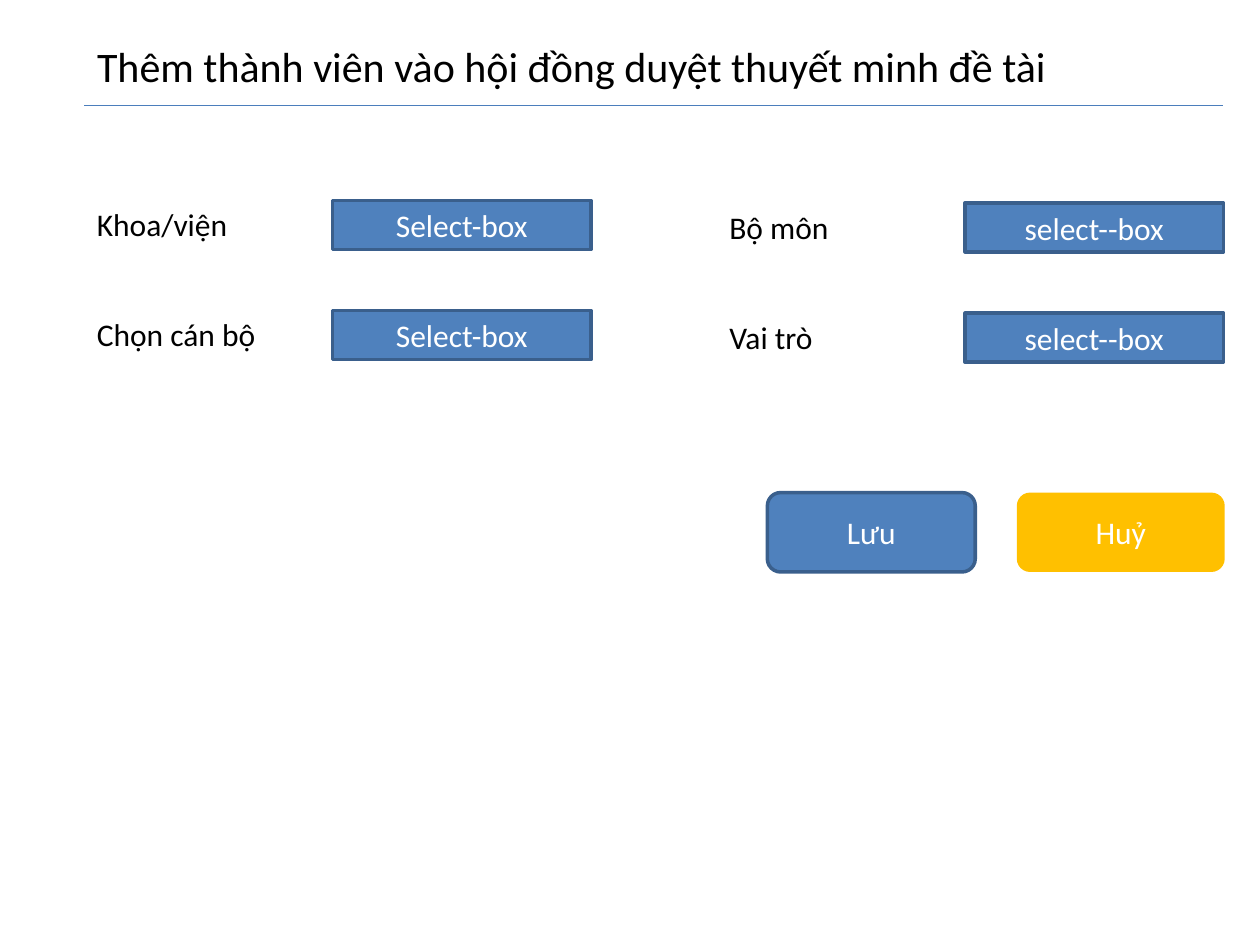
"""Build the form slide for adding a member to the proposal review council."""
from lxml import etree
from pptx import Presentation
from pptx.dml.color import RGBColor
from pptx.enum import shapes, text
from pptx.oxml import ns
from pptx.util import Inches, Pt

COLORS = {
    "ink": "000000",
    "white": "FFFFFF",
    "blue": "4F81BD",
    "border": "3A5F8C",
    "rule": "4B7EBC",
    "amber": "FFC000",
}
LEFT, RIGHT = 0.67, 9.71
COLUMN_STEP, ROW_STEP = 5.02, 0.875
FIELDS = [
    (0.67, 1.58, "Select-box", ["Khoa/viện", "Chọn cán bộ"]),
    (0.67 + COLUMN_STEP, 1.6, "select--box", ["Bộ môn", "Vai trò"]),
]


def color(name):
    return RGBColor.from_string(COLORS[name])


def write(shape, words, size, ink, align, anchor):
    frame = shape.text_frame
    frame.text = words
    frame.word_wrap = True
    frame.auto_size = text.MSO_AUTO_SIZE.NONE
    frame.vertical_anchor = anchor
    para = frame.paragraphs[0]
    para.alignment = align
    font = para.runs[0].font
    font.name, font.size = "Calibri", Pt(size)
    font.color.rgb = color(ink)


def add_title(page, words):
    title = page.shapes.title
    title.left, title.top = Inches(LEFT), Inches(0.27)
    title.width, title.height = Inches(RIGHT - LEFT), Inches(0.5)
    write(title, words, 24, "ink", text.PP_ALIGN.LEFT, text.MSO_ANCHOR.TOP)


def add_rule(page, top):
    rule = page.shapes.add_connector(
        shapes.MSO_CONNECTOR.STRAIGHT, Inches(LEFT), Inches(top), Inches(RIGHT), Inches(top)
    )
    rule.line.color.rgb = color("rule")
    rule.line.width = Pt(0.75)
    etree.SubElement(rule._element.spPr, ns.qn("a:effectLst"))


def add_label(page, left, top, words):
    label = page.shapes.add_textbox(Inches(left), Inches(top), Inches(2.28), Inches(0.4))
    write(label, words, 18, "ink", text.PP_ALIGN.LEFT, text.MSO_ANCHOR.TOP)
    label.text_frame.auto_size = text.MSO_AUTO_SIZE.SHAPE_TO_FIT_TEXT


def add_box(page, kind, left, top, width, height, words, fill="blue", border="border"):
    box = page.shapes.add_shape(kind, Inches(left), Inches(top), Inches(width), Inches(height))
    box.shadow.inherit = False
    box.fill.solid()
    box.fill.fore_color.rgb = color(fill)
    if border:
        box.line.color.rgb = color(border)
        box.line.width = Pt(2)
    else:
        box.line.fill.background()
    write(box, words, 18, "white", text.PP_ALIGN.CENTER, text.MSO_ANCHOR.MIDDLE)


def add_field(page, left, top, label, choice):
    add_box(page, shapes.MSO_SHAPE.RECTANGLE, left + 1.97, top + 0.01, 2.05, 0.39, choice)
    add_label(page, left, top, label)


def add_button(page, left, words, fill, border):
    kind = shapes.MSO_SHAPE.ROUNDED_RECTANGLE
    add_box(page, kind, left, 3.91, 1.65, 0.63, words, fill, border)


def main():
    deck = Presentation()
    deck.slide_width, deck.slide_height = Inches(10), Inches(7.5)
    page = deck.slides.add_slide(deck.slide_layouts[5])
    add_title(page, "Thêm thành viên vào hội đồng duyệt thuyết minh đề tài")
    add_rule(page, 0.84)
    for left, top, choice, labels in FIELDS:
        for row, label in enumerate(labels):
            add_field(page, left, top + row * ROW_STEP, label, choice)
    add_button(page, 6.09, "Lưu", "blue", "border")
    add_button(page, 8.07, "Huỷ", "amber", None)
    deck.save("out.pptx")


if __name__ == "__main__":
    main()
